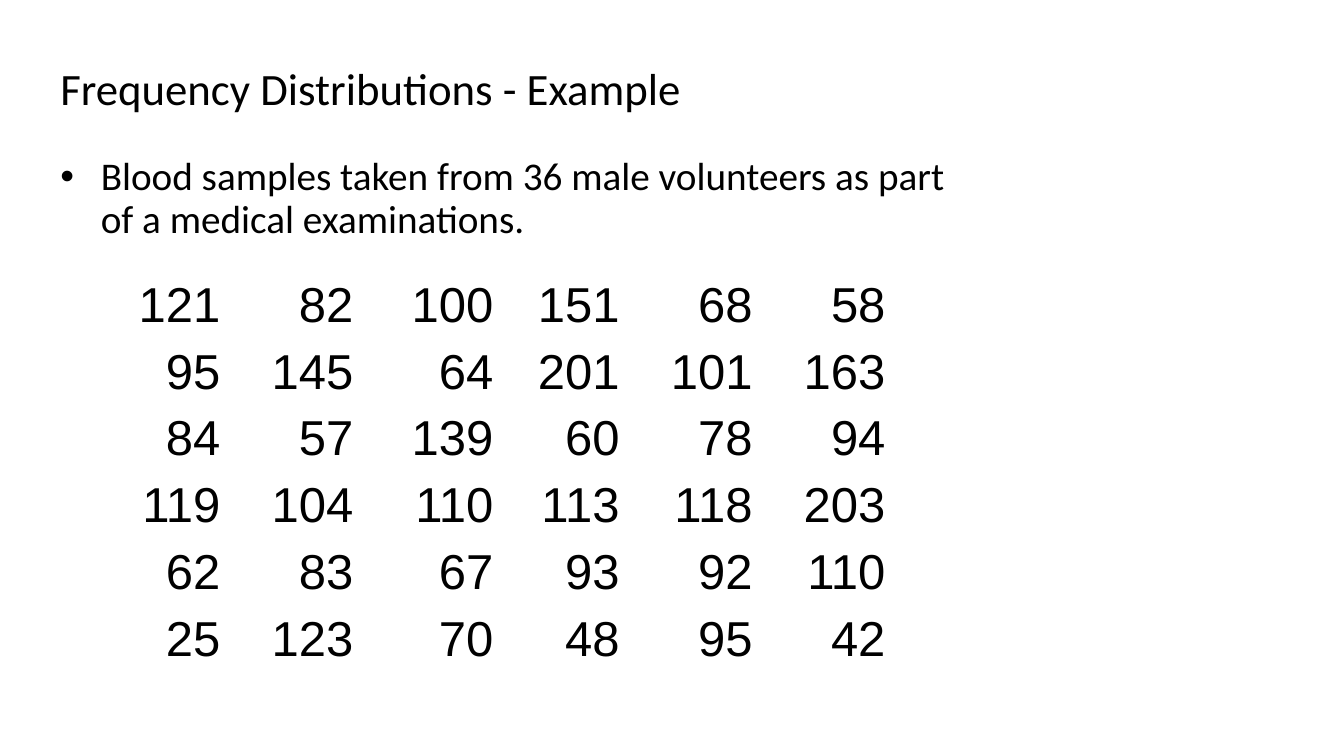
from lxml.etree import SubElement
from pptx import Presentation
from pptx.dml.color import RGBColor
from pptx.enum.text import MSO_ANCHOR, PP_ALIGN
from pptx.oxml.ns import qn
from pptx.util import Cm, Pt

BLACK = "000000"
COLUMN_WIDTHS = [3.35, 3.35, 3.53, 3.18, 3.35, 3.35]
ROW_HEIGHT = 1.63
SAMPLES = [
    [121, 82, 100, 151, 68, 58],
    [95, 145, 64, 201, 101, 163],
    [84, 57, 139, 60, 78, 94],
    [119, 104, 110, 113, 118, 203],
    [62, 83, 67, 93, 92, 110],
    [25, 123, 70, 48, 95, 42],
]


def color(hex_string):
    """Return the colour for a hex string."""
    return RGBColor.from_string(hex_string)


def format_runs(paragraph, font_name, size):
    """Give every run of a paragraph its font, size and colour."""
    for run in paragraph.runs:
        run.font.name = font_name
        run.font.size = Pt(size)
        run.font.color.rgb = color(BLACK)


def add_text(slide, box, text, size, anchor):
    """Add a wrapped text box and return its paragraph."""
    text_frame = slide.shapes.add_textbox(*map(Cm, box)).text_frame
    text_frame.word_wrap = True
    text_frame.vertical_anchor = anchor
    text_frame.text = text
    paragraph = text_frame.paragraphs[0]
    paragraph.line_spacing = 0.9
    format_runs(paragraph, "Calibri", size)
    return paragraph


def add_title(slide, box):
    """Add the slide title."""
    add_text(slide, box, "Frequency Distributions - Example", 32, MSO_ANCHOR.MIDDLE)


def add_description(slide, box):
    """Add the bulleted description of the samples."""
    text = "Blood samples taken from 36 male volunteers as part of a medical examinations."
    paragraph = add_text(slide, box, text, 28, MSO_ANCHOR.TOP)
    paragraph.space_before = Pt(10)
    properties = paragraph._p.get_or_add_pPr()
    properties.set("marL", str(Cm(1.02)))
    properties.set("indent", str(-Cm(1.02)))
    SubElement(properties, qn("a:buFont"), typeface="Arial")
    SubElement(properties, qn("a:buChar"), char="•")


def add_samples(slide, box):
    """Add the table of sample values."""
    table = slide.shapes.add_table(len(SAMPLES), len(COLUMN_WIDTHS), *map(Cm, box)).table
    table.first_row = False
    table.horz_banding = False
    for column, width in zip(table.columns, COLUMN_WIDTHS):
        column.width = Cm(width)
    for row, values in zip(table.rows, SAMPLES):
        row.height = Cm(ROW_HEIGHT)
        for cell, value in zip(row.cells, values):
            cell.fill.background()
            cell.vertical_anchor = MSO_ANCHOR.BOTTOM
            cell.margin_top = cell.margin_bottom = Cm(0.1)
            cell.text_frame.text = str(value)
            paragraph = cell.text_frame.paragraphs[0]
            paragraph.alignment = PP_ALIGN.RIGHT
            format_runs(paragraph, "Arial", 35)


def build():
    """Build the slide and save the presentation."""
    presentation = Presentation()
    presentation.slide_width = Cm(33.87)
    presentation.slide_height = Cm(19.05)
    slide = presentation.slides.add_slide(presentation.slide_layouts[6])
    add_title(slide, (1.27, 0.76, 29.7, 3.07))
    add_description(slide, (1.27, 3.83, 22.86, 12.57))
    add_samples(slide, (2.46, 6.8, sum(COLUMN_WIDTHS), ROW_HEIGHT * len(SAMPLES)))
    presentation.save("out.pptx")


build()
